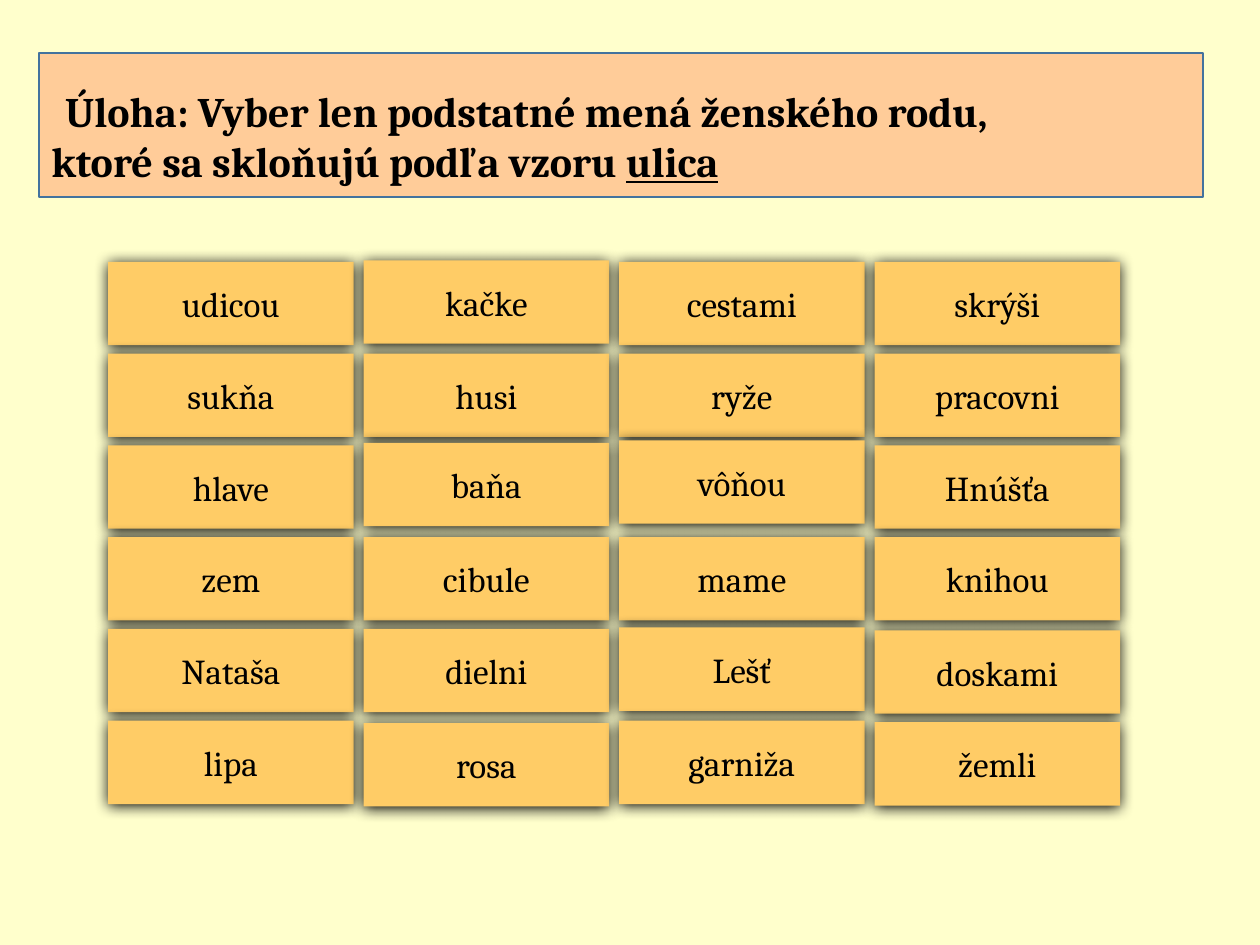
from lxml.etree import SubElement
from pptx import Presentation
from pptx.dml.color import RGBColor
from pptx.enum.shapes import MSO_SHAPE as SHAPE
from pptx.enum.text import MSO_ANCHOR as ANCHOR, MSO_AUTO_SIZE as AUTO, PP_ALIGN as ALIGN
from pptx.oxml.ns import qn
from pptx.util import Cm, Pt

WORDS = [
    ["udicou", "kačke", "cestami", "skrýši"],
    ["sukňa", "husi", "ryže", "pracovni"],
    ["hlave", "baňa", "vôňou", "Hnúšťa"],
    ["zem", "cibule", "mame", "knihou"],
    ["Nataša", "dielni", "Lešť", "doskami"],
    ["lipa", "rosa", "garniža", "žemli"],
]
# Small vertical offsets of single cards, in cm, by (row, column)
NUDGES = {(0, 1): -0.03, (2, 1): -0.05, (2, 2): -0.1, (4, 2): -0.03,
          (4, 3): 0.03, (5, 1): 0.05, (5, 3): 0.03}
LEFT, TOP = 2.18, 5.28
CARD_W, CARD_H = 4.95, 1.68
COL_STEP, ROW_STEP = 5.15, 1.85


def color(hex_text):
    return RGBColor.from_string(hex_text)


def paint(fill, hex_text):
    fill.solid()
    fill.fore_color.rgb = color(hex_text)


def add_text(p, text, size=20, bold=False, underline=False, ink="000000"):
    r = p.add_run()
    r.text = text
    f = r.font
    f.name, f.size, f.bold, f.underline = "Cambria", Pt(size), bold, underline
    f.color.rgb = color(ink)


def add_shadow(sp, blur, distance):
    """Give the shape a black shadow that falls straight down."""
    sp.shadow.inherit = False
    effects = sp._element.spPr.find(qn("a:effectLst"))
    shadow = SubElement(effects, qn("a:outerShdw"), blurRad=str(Pt(blur)),
                        dist=str(Pt(distance)), dir="5400000", rotWithShape="0")
    SubElement(shadow, qn("a:srgbClr"), val="000000")


def add_card(s, word, x, y):
    sp = s.shapes.add_shape(SHAPE.RECTANGLE, Cm(x), Cm(y), Cm(CARD_W), Cm(CARD_H))
    paint(sp.fill, "FFCC66")
    sp.line.fill.background()
    add_shadow(sp, blur=8.5, distance=1)
    tf = sp.text_frame
    tf.word_wrap = True
    tf.vertical_anchor = ANCHOR.MIDDLE
    p = tf.paragraphs[0]
    p.alignment = ALIGN.CENTER
    add_text(p, word)


def add_task(s):
    """Turn the title placeholder into a plaque with the task."""
    sp = s.shapes.title
    sp.left, sp.top, sp.width, sp.height = Cm(0.78), Cm(1.07), Cm(23.47), Cm(2.9)
    geometry = SubElement(sp._element.spPr, qn("a:prstGeom"), prst="plaque")
    SubElement(geometry, qn("a:avLst"))
    paint(sp.fill, "FFCC99")
    sp.line.color.rgb = color("43739E")
    sp.line.width = Pt(1)

    tf = sp.text_frame
    tf.word_wrap = True
    tf.auto_size = AUTO.NONE
    tf.vertical_anchor = ANCHOR.MIDDLE
    tf.margin_top = Cm(0.57)
    p = tf.paragraphs[0]
    p.alignment = ALIGN.LEFT
    p._p.get_or_add_pPr().set("indent", str(Cm(0.28)))
    add_text(p, "Úloha: Vyber len podstatné mená ženského rodu,", size=24, bold=True)
    p.add_line_break()
    add_text(p, "ktoré sa skloňujú podľa vzoru ", size=24, bold=True)
    add_text(p, "ulica", size=24, bold=True, underline=True)


def main():
    prs = Presentation()
    prs.slide_width, prs.slide_height = Cm(25.4), Cm(19.05)
    s = prs.slides.add_slide(prs.slide_layouts[5])
    paint(s.background.fill, "FFFFCC")

    # Word cards
    for row, words in enumerate(WORDS):
        for col, word in enumerate(words):
            y = TOP + row * ROW_STEP + NUDGES.get((row, col), 0)
            add_card(s, word, LEFT + col * COL_STEP, y)

    # Task heading
    add_task(s)
    prs.save("out.pptx")


if __name__ == "__main__":
    main()
